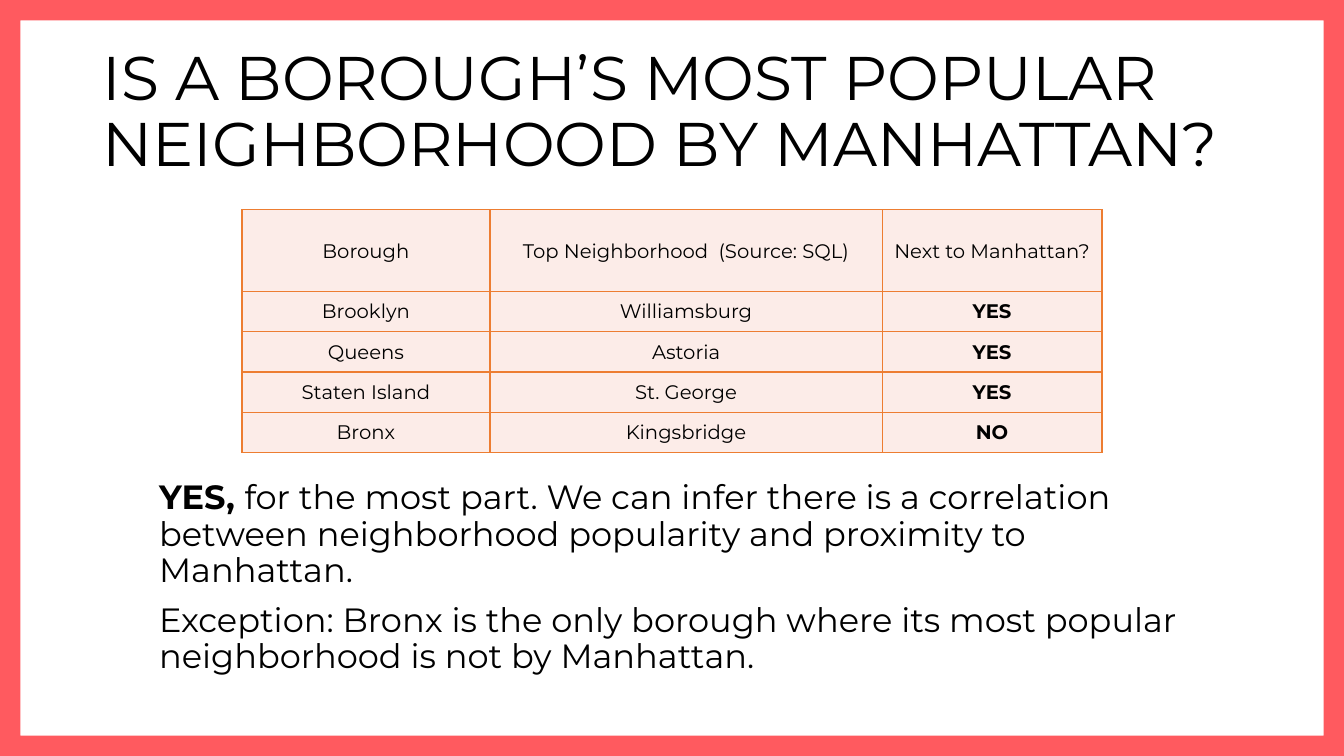
"""Build the slide on boroughs' top neighborhoods and their closeness to Manhattan."""
from dataclasses import dataclass

from lxml import etree
from pptx import Presentation
from pptx import util as u
from pptx.dml.color import RGBColor
from pptx.enum import shapes, text
from pptx.oxml import ns

PX = 9144
FONT = "Montserrat"
COLORS = {"frame": "FF5A5F", "ink": "000000", "cell": "FCECE8", "rule": "ED7D31"}
COLUMN_WIDTHS = (246, 389, 218)
ROW_HEIGHTS = (81, 40, 40, 40, 40)


@dataclass(frozen=True)
class Borough:
    name: str
    neighborhood: str
    adjacent: str


@dataclass(frozen=True)
class Phrase:
    wording: str
    bold: bool = False


@dataclass(frozen=True)
class TextBlock:
    box: tuple[int, int, int, int]
    size: int
    before: int
    anchor: text.MSO_ANCHOR
    paragraphs: tuple[tuple[Phrase, ...], ...]


BOROUGHS = (
    Borough("Brooklyn", "Williamsburg", "YES"),
    Borough("Queens", "Astoria", "YES"),
    Borough("Staten Island", "St. George", "YES"),
    Borough("Bronx", "Kingsbridge", "NO"),
)
HEADINGS = Borough("Borough", "Top Neighborhood  (Source: SQL)", "Next to Manhattan?")

TITLE = TextBlock(
    (92, 40, 1150, 145), 44, 0, text.MSO_ANCHOR.MIDDLE,
    ((Phrase("IS A BOROUGH’S MOST POPULAR NEIGHBORHOOD BY MANHATTAN?"),),),
)
FINDINGS = TextBlock(
    (148, 472, 1037, 221), 24, 10, text.MSO_ANCHOR.TOP,
    (
        (
            Phrase("YES, ", bold=True),
            Phrase("for the most part. We can infer there is a correlation between "
                   "neighborhood popularity and proximity to Manhattan."),
        ),
        (Phrase("Exception: Bronx is the only borough where its most popular "
                "neighborhood is not by Manhattan."),),
    ),
)


def px(*lengths: int) -> list[int]:
    return [length * PX for length in lengths]


def color(key: str) -> RGBColor:
    return RGBColor.from_string(COLORS[key])


def style(run, size: int, bold: bool) -> None:
    run.font.name = FONT
    run.font.size = u.Pt(size)
    run.font.bold = bold
    run.font.color.rgb = color("ink")


def draw_frame(slide, width: int, height: int) -> None:
    border = slide.shapes.add_shape(shapes.MSO_SHAPE.FRAME, 0, 0, width, height)
    border.adjustments[0] = 0.027
    border.shadow.inherit = False
    border.fill.solid()
    border.fill.fore_color.rgb = color("frame")
    border.line.fill.background()


def draw_text(slide, block: TextBlock) -> None:
    frame = slide.shapes.add_textbox(*px(*block.box)).text_frame
    frame.word_wrap = True
    frame.vertical_anchor = block.anchor
    for index, phrases in enumerate(block.paragraphs):
        paragraph = frame.add_paragraph() if index else frame.paragraphs[0]
        paragraph.line_spacing = 0.9
        paragraph.space_before = u.Pt(block.before)
        for phrase in phrases:
            run = paragraph.add_run()
            run.text = phrase.wording
            style(run, block.size, phrase.bold)


def rule_cell(cell) -> None:
    properties = cell._tc.get_or_add_tcPr()
    for side in ("lnL", "lnR", "lnT", "lnB"):
        line = etree.SubElement(properties, ns.qn(f"a:{side}"), w=str(u.Pt(1)))
        fill = etree.SubElement(line, ns.qn("a:solidFill"))
        etree.SubElement(fill, ns.qn("a:srgbClr"), val=COLORS["rule"])


def draw_cell(cell, wording: str, bold: bool) -> None:
    rule_cell(cell)
    cell.fill.solid()
    cell.fill.fore_color.rgb = color("cell")
    cell.vertical_anchor = text.MSO_ANCHOR.MIDDLE
    cell.margin_left = cell.margin_right = cell.margin_top = PX
    cell.margin_bottom = 0
    cell.text_frame.text = wording
    paragraph = cell.text_frame.paragraphs[0]
    paragraph.alignment = text.PP_ALIGN.CENTER
    style(paragraph.runs[0], 14, bold)


def draw_boroughs(slide) -> None:
    box = px(240, 208, sum(COLUMN_WIDTHS), sum(ROW_HEIGHTS))
    table = slide.shapes.add_table(len(ROW_HEIGHTS), len(COLUMN_WIDTHS), *box).table
    for column, width in zip(table.columns, px(*COLUMN_WIDTHS)):
        column.width = width
    for row, height in zip(table.rows, px(*ROW_HEIGHTS)):
        row.height = height
    for row, borough in zip(table.rows, (HEADINGS, *BOROUGHS)):
        name, neighborhood, adjacent = row.cells
        draw_cell(name, borough.name, False)
        draw_cell(neighborhood, borough.neighborhood, False)
        draw_cell(adjacent, borough.adjacent, borough is not HEADINGS)


def main() -> None:
    deck = Presentation()
    deck.slide_width, deck.slide_height = px(1333, 750)
    slide = deck.slides.add_slide(deck.slide_layouts[6])
    draw_frame(slide, deck.slide_width, deck.slide_height)
    draw_text(slide, TITLE)
    draw_boroughs(slide)
    draw_text(slide, FINDINGS)
    deck.save("out.pptx")


if __name__ == "__main__":
    main()
